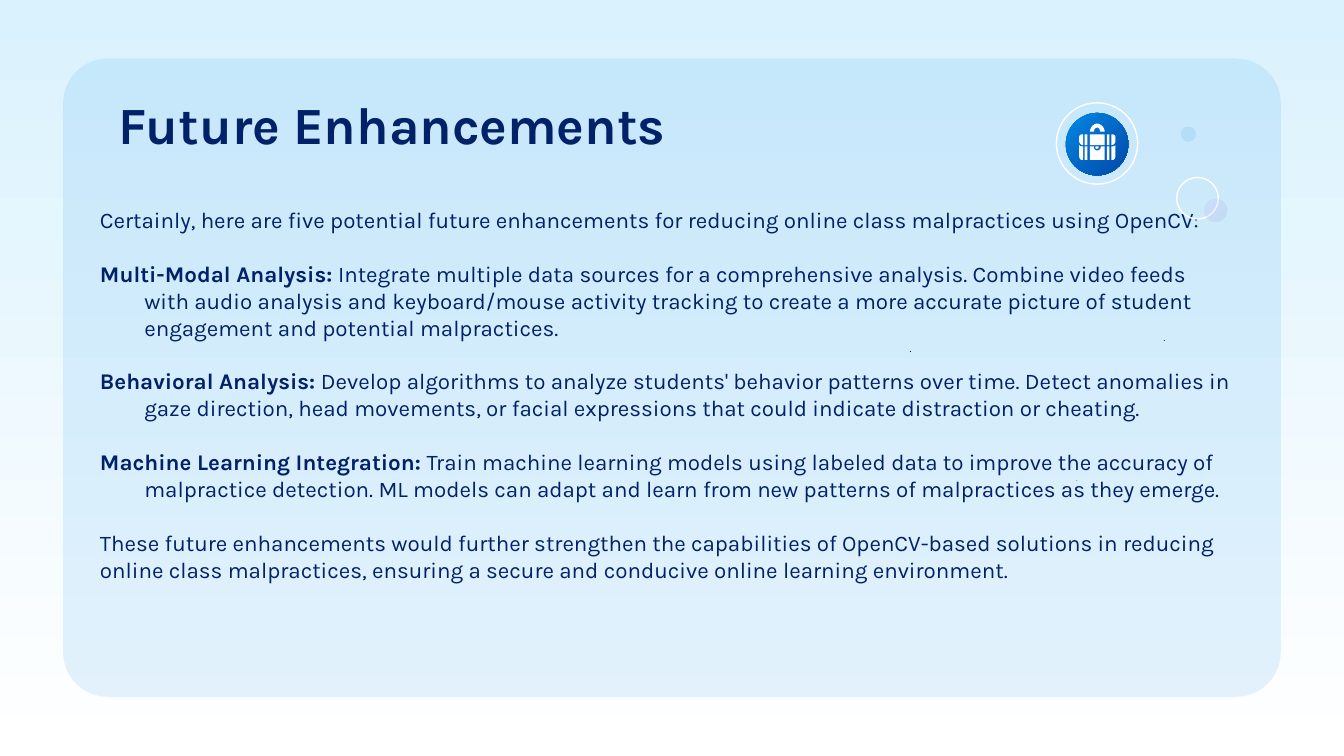
from dataclasses import dataclass

from pptx import Presentation
from pptx.dml.color import RGBColor
from pptx.enum.shapes import MSO_SHAPE
from pptx.enum.text import MSO_ANCHOR
from pptx.oxml.ns import qn
from pptx.util import Pt
from lxml.etree import SubElement

PX = 4572
CURVE_STEPS = 8
ICON_MIRROR = 3266
INSET = 20
HANGING = (100, -66)


@dataclass(frozen=True)
class Theme:
    font: str = "Karla"
    ink: str = "012169"
    white: str = "FFFFFF"
    sky: str = "DAF2FE"
    blue: str = "0388E5"
    deep_blue: str = "0048A7"
    lilac: str = "AD8DFF"
    violet: str = "6746B9"
    title_size: int = 28
    body_size: int = 12
    paragraph_gap: float = 14.4
    outline: float = 0.75
    faint: int = 10


class SlideBuilder:
    """Draws styled elements on one slide."""

    def __init__(self, slide, theme):
        self.slide, self.theme, self.shapes = slide, theme, slide.shapes

    def gradient(self, fill, colors, angle):
        fill.gradient()
        fill.gradient_angle = angle
        for stop, color, position in zip(fill.gradient_stops, colors, (0, 1)):
            stop.color.rgb = RGBColor.from_string(color)
            stop.position = position

    def paint(self, shape, colors=(), line=None, alpha=None):
        shape.shadow.inherit = False
        if len(colors) == 2:
            self.gradient(shape.fill, colors, 315)
        elif colors:
            shape.fill.solid()
            shape.fill.fore_color.rgb = RGBColor.from_string(colors[0])
        else:
            shape.fill.background()
        if line:
            shape.line.color.rgb = RGBColor.from_string(line)
            shape.line.width = Pt(self.theme.outline)
        else:
            shape.line.fill.background()
        if alpha:
            for color in shape._element.spPr.iter(qn("a:srgbClr")):
                SubElement(color, qn("a:alpha")).set("val", str(alpha * 1000))
        return shape

    def preset(self, kind, box, **style):
        return self.paint(self.shapes.add_shape(kind, *(v * PX for v in box)), **style)

    def outline(self, start, segments, mirrored=False):
        points = [start]
        for segment in segments:
            if len(segment) == 2:
                points.append(segment)
                continue
            ends = [points[-1], *zip(segment[::2], segment[1::2])]
            for step in range(1, CURVE_STEPS + 1):
                t = step / CURVE_STEPS
                weights = ((1 - t) ** 3, 3 * t * (1 - t) ** 2, 3 * t * t * (1 - t), t ** 3)
                points.append(tuple(sum(w * p[axis] for w, p in zip(weights, ends)) for axis in (0, 1)))
        if mirrored:
            points = [(ICON_MIRROR - x, y) for x, y in points]
        scaled = [(round(x * PX), round(y * PX)) for x, y in points]
        pen = self.shapes.build_freeform(*scaled[0], scale=1.0)
        pen.add_line_segments(scaled[1:], close=True)
        self.paint(pen.convert_to_shape(), colors=[self.theme.white])

    def text(self, box, paragraphs, size, indent=(0, 0), anchor=MSO_ANCHOR.TOP, gap=0):
        frame = self.shapes.add_textbox(*(v * PX for v in box)).text_frame
        frame.word_wrap = True
        frame.vertical_anchor = anchor
        frame.margin_left = frame.margin_right = frame.margin_top = frame.margin_bottom = INSET * PX
        for index, (lead, rest) in enumerate(paragraphs):
            paragraph = frame.add_paragraph() if index else frame.paragraphs[0]
            paragraph.space_after = Pt(gap)
            self.indent(paragraph, indent)
            for words, bold in ((lead, True), (rest, False)):
                if words:
                    run = paragraph.add_run()
                    run.text = words
                    run.font.name = self.theme.font
                    run.font.size = Pt(size)
                    run.font.bold = bold
                    run.font.color.rgb = RGBColor.from_string(self.theme.ink)
        return frame

    def indent(self, paragraph, indent):
        properties = paragraph._p.get_or_add_pPr()
        properties.set("marL", str(indent[0] * PX))
        properties.set("indent", str(indent[1] * PX))


ENHANCEMENTS = [
    ("", "Certainly, here are five potential future enhancements for reducing online class malpractices using OpenCV:"),
    ("Multi-Modal Analysis:",
     " Integrate multiple data sources for a comprehensive analysis. Combine video feeds with audio analysis and "
     "keyboard/mouse activity tracking to create a more accurate picture of student engagement and potential "
     "malpractices."),
    ("Behavioral Analysis:",
     " Develop algorithms to analyze students' behavior patterns over time. Detect anomalies in gaze direction, "
     "head movements, or facial expressions that could indicate distraction or cheating."),
    ("Machine Learning Integration:",
     " Train machine learning models using labeled data to improve the accuracy of malpractice detection. ML models "
     "can adapt and learn from new patterns of malpractices as they emerge."),
    ("", "These future enhancements would further strengthen the capabilities of OpenCV-based solutions in reducing "
         "online class malpractices, ensuring a secure and conducive online learning environment."),
]
CASE_SIDES = [
    ((1610, 200), [(1608, 200, 1606, 202, 1606, 204), (1606, 210), (1606, 212, 1608, 216, 1612, 216), (1612, 200)]),
    ((1606, 216), [(1606, 232), (1606, 236, 1608, 238, 1610, 238), (1612, 238), (1612, 218),
                   (1610, 218, 1608, 218, 1606, 216)]),
]
CASE_MIDDLE = [
    ((1630, 218), [(1630, 220), (1630, 222, 1635, 222, 1635, 220), (1635, 218)]),
    ((1622, 218), [(1622, 238), (1644, 238), (1644, 218), (1638, 218), (1638, 220),
                   (1638, 222, 1635, 224, 1633, 224), (1630, 224, 1628, 222, 1628, 220), (1628, 218)]),
    ((1633, 184), [(1627, 184, 1622, 190, 1622, 196), (1628, 196), (1628, 192, 1630, 190, 1633, 190),
                   (1635, 190, 1637, 192, 1637, 196), (1644, 196), (1644, 190, 1638, 184, 1633, 184)]),
]
DOTS = [
    ((1582, 690, 96, 34), 3, (0, 0), MSO_ANCHOR.BOTTOM, True),
    ((728, 412, 544, 108), 1, HANGING, MSO_ANCHOR.BOTTOM, True),
    ((1300, 498, 544, 318), 6, HANGING, MSO_ANCHOR.TOP, False),
    ((1116, 716, 156, 98), 6, HANGING, MSO_ANCHOR.TOP, False),
    ((1678, 497, 166, 20), 4, HANGING, MSO_ANCHOR.BOTTOM, True),
]


def main():
    deck = Presentation()
    deck.slide_width, deck.slide_height = 2000 * PX, 1125 * PX
    theme = Theme()
    builder = SlideBuilder(deck.slides.add_slide(deck.slide_layouts[6]), theme)
    builder.gradient(builder.slide.background.fill, (theme.white, theme.sky), 90)

    panel = builder.preset(MSO_SHAPE.ROUNDED_RECTANGLE, (94, 87, 1812, 950), colors=[theme.blue], alpha=theme.faint)
    panel.adjustments[0] = 0.07
    builder.text((157, 118, 1688, 146), [("Future Enhancements", "")], theme.title_size)
    body = builder.text((95, 287, 1758, 686), ENHANCEMENTS, theme.body_size, HANGING, gap=theme.paragraph_gap)
    builder.indent(body.paragraphs[-1], (34, 0))

    builder.shapes = builder.slide.shapes.add_group_shape().shapes
    builder.preset(MSO_SHAPE.OVAL, (1572, 153, 121, 121), line=theme.white)
    builder.preset(MSO_SHAPE.OVAL, (1586, 168, 93, 93), colors=[theme.blue, theme.deep_blue])
    for left, width in ((1614, 4), (1647, 4), (1622, 22)):
        builder.preset(MSO_SHAPE.RECTANGLE, (left, 200, width, 16), colors=[theme.white])
    for left in (1614, 1647):
        builder.preset(MSO_SHAPE.RECTANGLE, (left, 218, 4, 20), colors=[theme.white])
    for start, segments in CASE_SIDES:
        for mirrored in (False, True):
            builder.outline(start, segments, mirrored)
    for start, segments in CASE_MIDDLE:
        builder.outline(start, segments)

    builder.shapes = builder.slide.shapes
    builder.preset(MSO_SHAPE.OVAL, (1751, 264, 62, 62), line=theme.white)
    builder.preset(MSO_SHAPE.OVAL, (1792, 296, 34, 34), colors=[theme.lilac, theme.violet], alpha=theme.faint)
    builder.preset(MSO_SHAPE.OVAL, (1757, 188, 23, 23), colors=[theme.blue], alpha=theme.faint)
    for box, size, indent, anchor, bold in DOTS:
        builder.text(box, [(".", "") if bold else ("", ".")], size, indent, anchor)
    deck.save("out.pptx")


if __name__ == "__main__":
    main()
